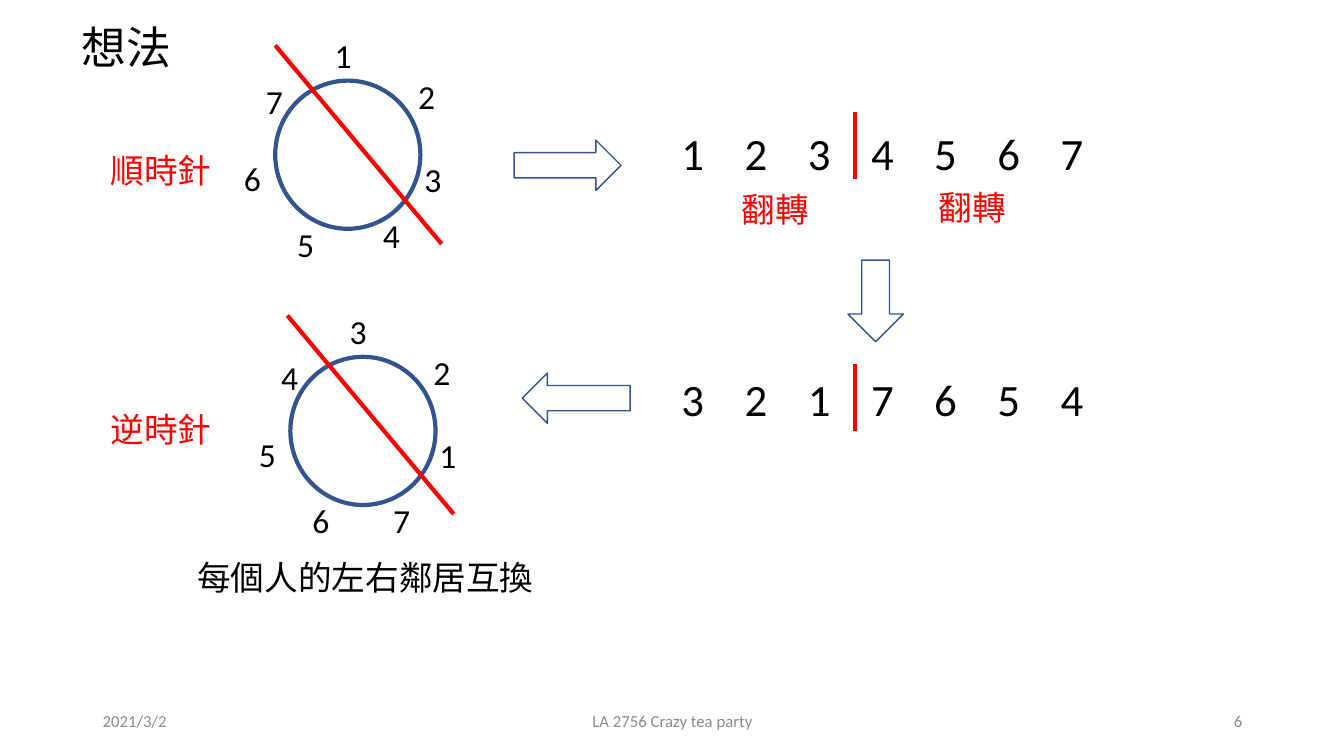
"""Build the slide that explains reversing a round table by flipping two halves."""
from dataclasses import dataclass

import pptx
import pptx.dml.color
import pptx.enum.shapes
import pptx.enum.text
import pptx.oxml
import pptx.oxml.ns
import pptx.util
from pptx.util import Inches

SHAPE = pptx.enum.shapes.MSO_SHAPE
ALIGN = pptx.enum.text.PP_ALIGN
ANCHOR = pptx.enum.text.MSO_ANCHOR


@dataclass(frozen=True)
class Theme:
    latin: str = "Calibri"
    cjk: str = "Noto Sans CJK SC"
    ink: str = "000000"
    accent: str = "FF0000"
    outline: str = "325491"
    muted: str = "8C8C8C"
    large: int = 32
    body: int = 24
    small: int = 12
    thick: int = 3
    thin: int = 1


THEME = Theme()
TITLE = ("想法", (0.71, 0.15, 1.15, 0.64))
LABELS = [
    ("順時針", (1, 1.44, 1.24, 0.5), THEME.accent),
    ("逆時針", (1, 4.01, 1.24, 0.5), THEME.accent),
    ("翻轉", (7.26, 1.83, 1.15, 0.5), THEME.accent),
    ("翻轉", (9.21, 1.81, 1.15, 0.5), THEME.accent),
    ("每個人的左右鄰居互換", (1.86, 5.48, 3.77, 0.5), THEME.ink),
]
FOOTERS = [
    ("2021/3/2", 0.92, 3, ALIGN.LEFT),
    ("LA 2756 Crazy tea party", 4.42, 4.5, ALIGN.CENTER),
    ("6", 9.42, 3, ALIGN.RIGHT),
]
RINGS = [
    {"origin": (2.73, 0.8), "people": "1234567", "fourth": (0.97, 1.28), "cut": (2.73, 0.45)},
    {"origin": (2.88, 3.54), "people": "3217654", "fourth": (0.92, 1.37), "cut": (2.85, 3.13)},
]
SEATS = [(0.49, -0.5), (1.32, -0.1), (1.38, 0.73), None, (0.12, 1.37), (-0.41, 0.72), (-0.19, -0.05)]
RING_SIZE = (1.44, 1.47)
SEAT_SIZE = (0.67, 0.5)
CUT_SPAN = (1.65, 1.97)
ROWS = [("1234567", 1.2, 1.11), ("3217654", 3.64, 3.61)]
ROW_LEFT, ROW_WIDTH, ROW_HEIGHT, ROW_PITCH = 6.66, 4.5, 0.64, 0.627
DIVIDER_X, DIVIDER_LENGTH = 8.48, 0.67
ARROWS = [
    (SHAPE.RIGHT_ARROW, (5.1, 1.39, 1.06, 0.5)),
    (SHAPE.DOWN_ARROW, (8.41, 2.58, 0.55, 0.81)),
    (SHAPE.LEFT_ARROW, (5.18, 3.7, 1.07, 0.5)),
]


def apply(target, values):
    for name, value in values.items():
        setattr(target, name, value)


def color(value):
    return pptx.dml.color.RGBColor.from_string(value)


def write(box, text, size, ink=THEME.ink, font=THEME.latin, align=ALIGN.LEFT, anchor=ANCHOR.TOP):
    apply(box.text_frame, {
        "word_wrap": True,
        "auto_size": pptx.enum.text.MSO_AUTO_SIZE.NONE,
        "vertical_anchor": anchor,
    })
    para = box.text_frame.paragraphs[0]
    para.alignment = align
    span = para.add_run()
    span.text = text
    apply(span.font, {"name": font, "size": pptx.util.Pt(size)})
    span.font.color.rgb = color(ink)
    east_asian = pptx.oxml.parse_xml(f'<a:ea {pptx.oxml.ns.nsdecls("a")} typeface="{font}"/>')
    span.font._element.find(pptx.oxml.ns.qn("a:latin")).addnext(east_asian)
    return para


def add_text(holder, place, text, size, **style):
    return write(holder.shapes.add_textbox(*map(Inches, place)), text, size, **style)


def add_outline(holder, kind, place, weight):
    shape = holder.shapes.add_shape(kind, *map(Inches, place))
    shape.shadow.inherit = False
    shape.fill.background()
    shape.line.color.rgb = color(THEME.outline)
    shape.line.width = pptx.util.Pt(weight)


def add_cut(page, start, span):
    end = [a + b for a, b in zip(start, span)]
    line = page.shapes.add_connector(
        pptx.enum.shapes.MSO_CONNECTOR.STRAIGHT, *map(Inches, (*start, *end)))
    line.line.color.rgb = color(THEME.accent)
    line.line.width = pptx.util.Pt(THEME.thick)
    line._element.spPr.append(pptx.oxml.parse_xml(f'<a:effectLst {pptx.oxml.ns.nsdecls("a")}/>'))


def add_ring(page, origin, people, fourth, cut):
    group = page.shapes.add_group_shape()
    add_outline(group, SHAPE.OVAL, (*origin, *RING_SIZE), THEME.thick)
    for person, seat in zip(people, SEATS):
        dx, dy = seat or fourth
        add_text(group, (origin[0] + dx, origin[1] + dy, *SEAT_SIZE), person, THEME.body)
    add_cut(page, cut, CUT_SPAN)


def add_row(page, people, top, divider_top):
    place = (ROW_LEFT, top, ROW_WIDTH, ROW_HEIGHT)
    para = add_text(page, place, "\t".join(people), THEME.large)
    stops = "".join(f'<a:tab pos="{Inches(ROW_PITCH * i)}" algn="l"/>' for i in range(1, len(people)))
    para._p.get_or_add_pPr().append(
        pptx.oxml.parse_xml(f'<a:tabLst {pptx.oxml.ns.nsdecls("a")}>{stops}</a:tabLst>'))
    add_cut(page, (DIVIDER_X, divider_top), (0, DIVIDER_LENGTH))


deck = pptx.Presentation()
apply(deck, {"slide_width": Inches(13.33), "slide_height": Inches(7.5)})
page = deck.slides.add_slide(deck.slide_layouts[5])

title_text, title_place = TITLE
title = page.shapes.title
apply(title, dict(zip(("left", "top", "width", "height"), map(Inches, title_place))))
write(title, title_text, THEME.large, font=THEME.cjk)

for text, left, width, align in FOOTERS:
    add_text(page, (left, 6.95, width, 0.4), text, THEME.small,
             ink=THEME.muted, align=align, anchor=ANCHOR.MIDDLE)
for ring in RINGS:
    add_ring(page, **ring)
for row in ROWS:
    add_row(page, *row)
for kind, place in ARROWS:
    add_outline(page, kind, place, THEME.thin)
for text, place, ink in LABELS:
    add_text(page, place, text, THEME.body, ink=ink, font=THEME.cjk)

deck.save("out.pptx")
